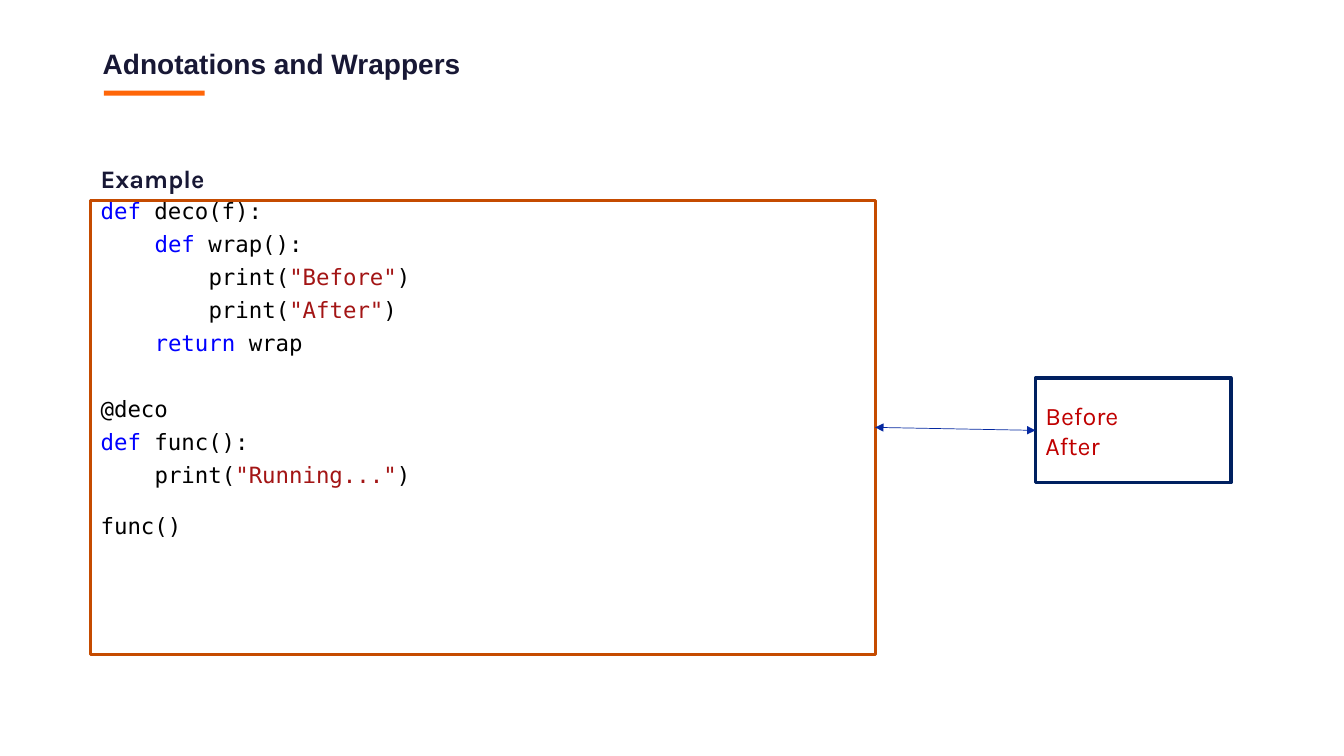
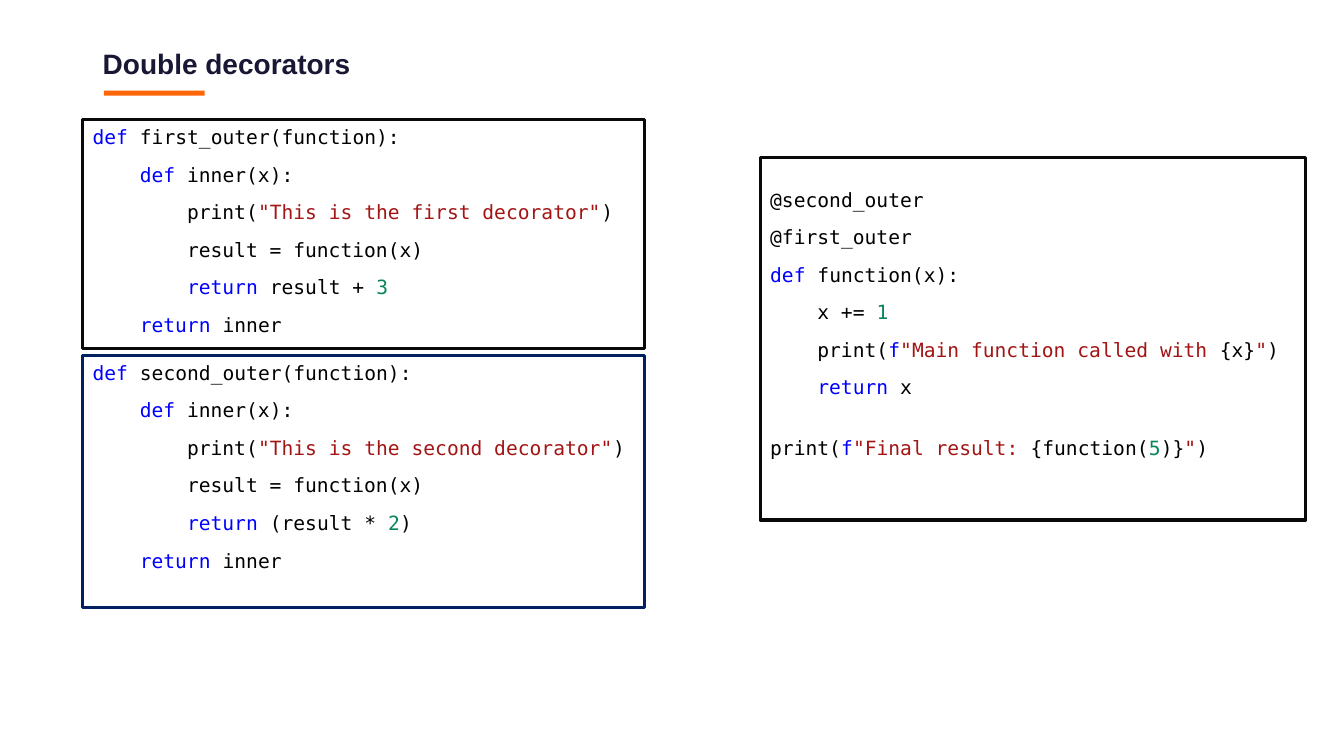
from pptx import Presentation
from pptx.dml.color import RGBColor
from pptx.enum.shapes import MSO_CONNECTOR, MSO_SHAPE
from pptx.enum.text import MSO_ANCHOR, PP_ALIGN
from pptx.oxml.ns import qn
from pptx.util import Inches, Pt
from lxml import etree

RECTANGLE, STRAIGHT = MSO_SHAPE.RECTANGLE, MSO_CONNECTOR.STRAIGHT
TOP, MIDDLE, LEFT = MSO_ANCHOR.TOP, MSO_ANCHOR.MIDDLE, PP_ALIGN.LEFT

ORANGE = RGBColor(0xFF, 0x66, 0x08)
RUST = RGBColor(0xC5, 0x4B, 0x00)
INK = RGBColor(0x18, 0x18, 0x35)
NAVY = RGBColor(0x00, 0x20, 0x60)
NEAR_BLACK = RGBColor(0x09, 0x09, 0x09)
ARROW_BLUE = RGBColor(0x05, 0x28, 0xA0)
RED = RGBColor(0xC0, 0x00, 0x00)
PLAIN = RGBColor(0x00, 0x00, 0x00)
KEYWORD = RGBColor(0x00, 0x00, 0xFF)
STRING = RGBColor(0xA3, 0x15, 0x15)
NUMBER = RGBColor(0x09, 0x86, 0x58)

TITLE_FONT, BODY_FONT, CODE_FONT = "Arial", "Karla", "DejaVu Sans Mono"
CODE_GAP = 10       # points between lines of code
CHAR_WIDTH = 0.602  # width of a code character, in ems
DEF, RETURN, F_PREFIX = ("def", KEYWORD), ("return", KEYWORD), ("f", KEYWORD)

# A line of code is its indent level followed by its spans: plain text, or
# text with a colour. None stands for a blank line.
DECO_CODE = [
    (0, DEF, " deco(f):"),
    (1, DEF, " wrap():"),
    (2, "print(", ('"Before"', STRING), ")"),
    (2, "print(", ('"After"', STRING), ")"),
    (1, RETURN, " wrap"),
    None,
    (0, "@deco"),
    (0, DEF, " func():"),
    (1, "print(", ('"Running..."', STRING), ")"),
    None,
    (0, "func()"),
]
MAIN_CODE = [
    (0, "@second_outer"),
    (0, "@first_outer"),
    (0, DEF, " function(x):"),
    (1, "x += ", ("1", NUMBER)),
    (1, "print(", F_PREFIX, ('"Main function called with ', STRING), "{x}",
     ('"', STRING), ")"),
    (1, RETURN, " x"),
    None,
    (0, "print(", F_PREFIX, ('"Final result: ', STRING), "{function(",
     ("5", NUMBER), ")}", ('"', STRING), ")"),
]


def decorator_code(name, *result):
    return [
        (0, DEF, f" {name}_outer(function):"),
        (1, DEF, " inner(x):"),
        (2, "print(", (f'"This is the {name} decorator"', STRING), ")"),
        (2, "result = function(x)"),
        (2, RETURN, *result),
        (1, RETURN, " inner"),
    ]


def set_font(paragraph, name, size, color=None, bold=False):
    font = paragraph.font
    font.name, font.size, font.bold = name, Pt(size), bold
    if color is not None:
        font.color.rgb = color


def add_label(page, box, text, name, size, anchor, spacing):
    frame = page.shapes.add_textbox(*map(Inches, box)).text_frame
    frame.word_wrap = True
    frame.vertical_anchor = anchor
    para = frame.paragraphs[0]
    para.text = text
    para.line_spacing = spacing
    set_font(para, name, size, INK, True)


def add_frame(page, box, color, anchor):
    """Add an outlined, unfilled rectangle ready for left-aligned text."""
    frame = page.shapes.add_shape(RECTANGLE, *map(Inches, box))
    frame.shadow.inherit = False
    frame.fill.background()
    frame.line.color.rgb = color
    frame.line.width = Pt(2.25)
    frame.text_frame.word_wrap = True
    frame.text_frame.vertical_anchor = anchor
    return frame


def add_code(page, box, color, lines, size, line_height, inset=0.05):
    """Add a framed listing; blank lines become extra space before a line."""
    panel = add_frame(page, box, color, TOP)
    panel.text_frame.margin_top = Inches(inset)
    para, blank = panel.text_frame.paragraphs[0], 0
    for number, line in enumerate(lines):
        if line is None:
            blank += 1
            continue
        if number:
            para = panel.text_frame.add_paragraph()
        # The first blank line on a page of code keeps its own gap too.
        level, *spans = line
        para.alignment = LEFT
        para.line_spacing = Pt(line_height)
        para.space_before = Pt(CODE_GAP + blank * line_height)
        if lines[number - 1] is None and line == (0, "@deco"):
            para.space_before = Pt(2 * CODE_GAP + line_height)
        indent = Pt(level * 4 * CHAR_WIDTH * size)
        para._p.get_or_add_pPr().set("marL", str(int(indent)))
        set_font(para, CODE_FONT, size)
        for span in spans:
            text, span_color = (span, PLAIN) if isinstance(span, str) else span
            run = para.add_run()
            run.text = text
            run.font.color.rgb = span_color
        blank = 0
    return panel


def add_output(page, box, lines):
    panel = add_frame(page, box, NAVY, MIDDLE)
    panel.text_frame.text = "\n".join(lines)
    for para in panel.text_frame.paragraphs:
        para.alignment = LEFT
        set_font(para, BODY_FONT, 18, RED)
    return panel


def join_with_arrow(page, source, target):
    """Draw a double-headed arrow from source's right to target's left side."""
    arrow = page.shapes.add_connector(STRAIGHT, 0, 0, 0, 0)
    arrow.begin_connect(source, 3)
    arrow.end_connect(target, 1)
    arrow.line.color.rgb = ARROW_BLUE
    arrow.line.width = Pt(0.5)
    outline = arrow.line._get_or_add_ln()
    for end in ("a:headEnd", "a:tailEnd"):
        etree.SubElement(outline, qn(end)).set("type", "triangle")
    etree.SubElement(arrow._element.spPr, qn("a:effectLst"))


def add_page(deck, title):
    page = deck.slides.add_slide(deck.slide_layouts[6])
    rule = page.shapes.add_shape(
        RECTANGLE, Inches(1.03), Inches(0.9), Inches(1), Inches(0.05))
    rule.shadow.inherit = False
    rule.fill.solid()
    rule.fill.fore_color.rgb = ORANGE
    rule.line.fill.background()
    add_label(page, (0.92, 0.4, 11.5, 0.5), title, TITLE_FONT, 20, MIDDLE, 0.9)
    return page


def add_wrapper_page(deck):
    page = add_page(deck, "Adnotations and Wrappers")
    code = add_code(page, (0.9, 1.99, 7.78, 4.5), RUST, DECO_CODE, 16, 13.5)
    add_label(page, (0.9, 1.51, 3.71, 0.49), "Example", BODY_FONT, 18, TOP, 1.2)
    output = add_output(page, (10.27, 3.75, 1.94, 1.04), ["Before", "After"])
    join_with_arrow(page, code, output)


def add_decorator_page(deck):
    page = add_page(deck, "Double decorators")
    first = decorator_code("first", " result + ", ("3", NUMBER))
    second = decorator_code("second", " (result * ", ("2", NUMBER), ")")
    for box, color, lines, inset in (
        ((0.82, 1.19, 5.57, 2.27), NEAR_BLACK, first, 0.05),
        ((0.82, 3.53, 5.57, 2.5), NAVY, second, 0.05),
        ((7.54, 1.56, 5.41, 3.6), NEAR_BLACK, MAIN_CODE, 0.3),
    ):
        add_code(page, box, color, lines, 14, 16.8, inset)


def main():
    deck = Presentation()
    deck.slide_width, deck.slide_height = Inches(13.33), Inches(7.5)
    add_wrapper_page(deck)
    add_decorator_page(deck)
    deck.save("out.pptx")


if __name__ == "__main__":
    main()
